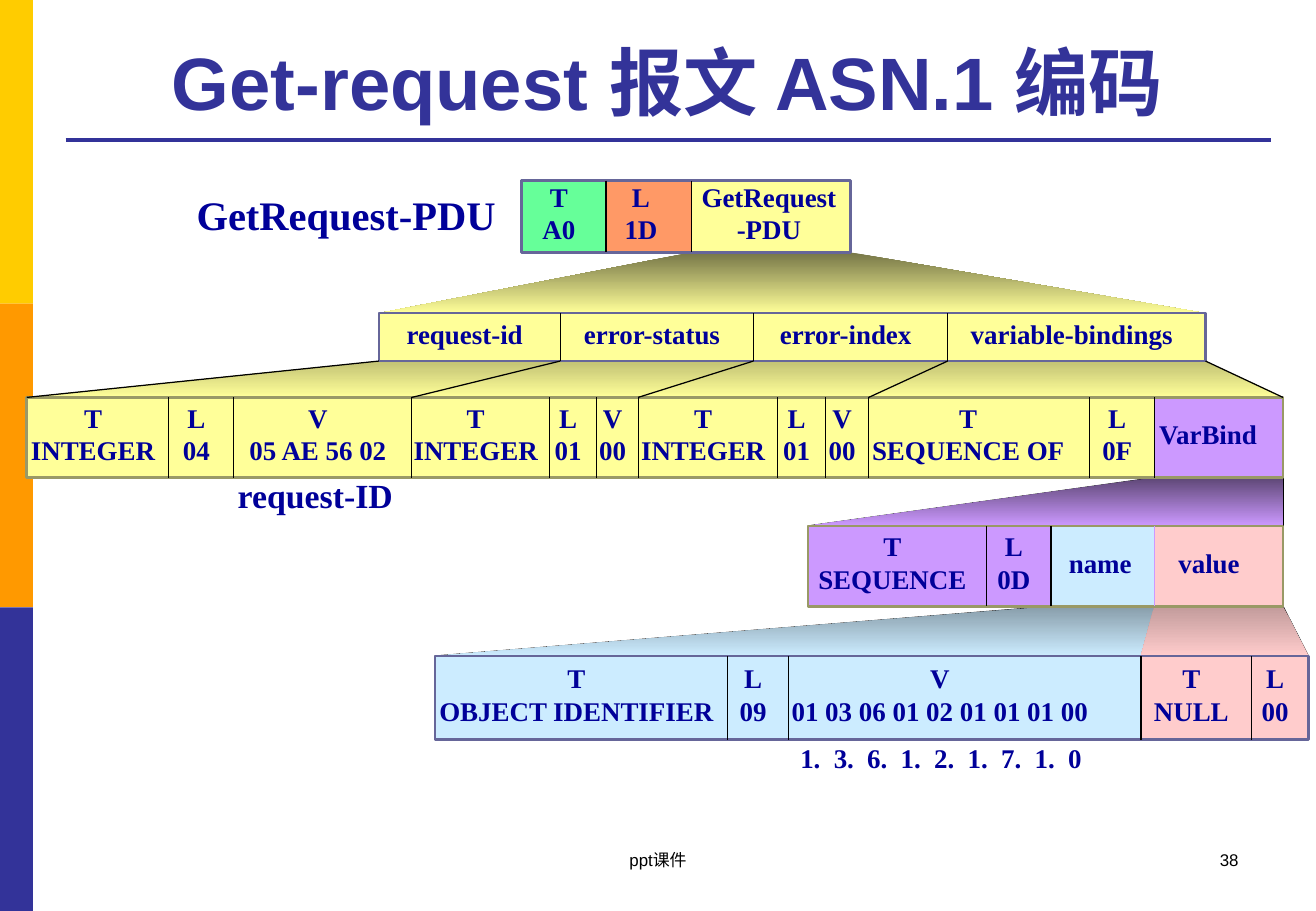
from dataclasses import dataclass

from lxml import etree
from pptx import Presentation
from pptx import util as u
from pptx.dml.color import RGBColor
from pptx.enum import shapes, text
from pptx.oxml.ns import qn


class Theme:
    """Colours, fonts and type sizes of the slide."""
    NAVY, INK, BLACK = "333399", "000099", "000000"
    GOLD, ORANGE = "FFCC00", "FF9900"
    GREEN, CORAL, YELLOW = "66FF99", "FF9966", "FFFF99"
    LILAC, SKY, PINK = "CC99FF", "CCECFF", "FFCCCC"
    SLATE, OLIVE = "666699", "999966"
    SANS, SERIF = "Arial", "Times New Roman"
    TITLE, HEADING, NOTE, CELL, FOOTER = 44, 24, 20, 16, 10
    HAIRLINE, OUTLINE, RULE = 0.75, 1.5, 2.25


@dataclass
class Box:
    """A rectangle in centimetres."""
    left: float
    top: float
    width: float
    height: float

    @property
    def right(self):
        """Return the right edge."""
        return self.left + self.width

    @property
    def bottom(self):
        """Return the lower edge."""
        return self.top + self.height

    def lengths(self):
        """Return the four lengths for python-pptx."""
        return [u.Cm(v) for v in (self.left, self.top, self.width, self.height)]


@dataclass
class Cell:
    """One field of an encoded row."""
    width: float
    fill: str
    lines: str
    shift: float = 0.1
    divider: str = Theme.BLACK


@dataclass
class Row:
    """A row of adjoining cells inside an outline."""
    box: Box
    outline: str
    cells: list

    def span(self, first, last=None):
        """Return the box covering cells first to last."""
        last = first if last is None else last
        left = self.box.left + sum(c.width for c in self.cells[:first])
        width = sum(c.width for c in self.cells[first:last + 1])
        return Box(left, self.box.top, width, self.box.height)


def rgb(colour):
    """Return a colour object for a hex string."""
    return RGBColor.from_string(colour)


def write(paragraph, words, size, colour, font=Theme.SERIF, bold=True, align=None):
    """Add one formatted run to a paragraph."""
    paragraph.alignment = align
    run = paragraph.add_run()
    run.text = words
    run.font.name, run.font.size, run.font.bold = font, u.Pt(size), bold
    run.font.color.rgb = rgb(colour)


def draw_block(slide, box, fill=None, outline=None):
    """Draw a rectangle with an optional fill and outline."""
    block = slide.shapes.add_shape(shapes.MSO_SHAPE.RECTANGLE, *box.lengths())
    block.shadow.inherit = False
    if fill:
        block.fill.solid()
        block.fill.fore_color.rgb = rgb(fill)
    else:
        block.fill.background()
    if outline:
        block.line.color.rgb = rgb(outline)
        block.line.width = u.Pt(Theme.OUTLINE)
    else:
        block.line.fill.background()
    return block


def draw_line(slide, start, end, colour=Theme.BLACK, width=Theme.HAIRLINE):
    """Draw a straight line between two points."""
    ends = [u.Cm(v) for v in (*start, *end)]
    line = slide.shapes.add_connector(shapes.MSO_CONNECTOR.STRAIGHT, *ends)
    line.line.color.rgb = rgb(colour)
    line.line.width = u.Pt(width)
    etree.SubElement(line._element.spPr, qn("a:effectLst"))


def draw_label(slide, box, words, size, **style):
    """Place a line of text in its own box and return its paragraph."""
    frame = slide.shapes.add_textbox(*box.lengths()).text_frame
    frame.word_wrap = True
    write(frame.paragraphs[0], words, size, style.pop("colour", Theme.INK), **style)
    return frame.paragraphs[0]


def draw_row(slide, row):
    """Draw the cells of a row, its dividers and its outline."""
    for index, cell in enumerate(row.cells):
        frame = draw_block(slide, row.span(index), cell.fill).text_frame
        frame.word_wrap = False
        frame.vertical_anchor = text.MSO_ANCHOR.MIDDLE
        frame.margin_left = frame.margin_top = 0
        frame.margin_right, frame.margin_bottom = u.Cm(2 * cell.shift), u.Cm(0.16)
        for number, words in enumerate(cell.lines.split("\n")):
            paragraph = frame.add_paragraph() if number else frame.paragraphs[0]
            write(paragraph, words, Theme.CELL, Theme.INK, align=text.PP_ALIGN.CENTER)
    draw_block(slide, row.box, outline=row.outline)
    for index, cell in enumerate(row.cells[1:], 1):
        x = row.span(index).left
        draw_line(slide, (x, row.box.top), (x, row.box.bottom), cell.divider)


def draw_funnel(slide, source, target, shade, tint):
    """Fill the area between a cell and the row that expands it."""
    corners = [(source.left, source.bottom), (source.right, source.bottom),
               (target.right, target.top), (target.left, target.top)]
    points = [(u.Cm(x), u.Cm(y)) for x, y in corners]
    builder = slide.shapes.build_freeform(*points[0])
    builder.add_line_segments(points[1:], close=True)
    funnel = builder.convert_to_shape()
    funnel.shadow.inherit = False
    funnel.line.fill.background()
    funnel.fill.gradient()
    funnel.fill.gradient_angle = 270
    for stop, colour in zip(funnel.fill.gradient_stops, (shade, tint)):
        stop.color.rgb = rgb(colour)


def draw_rays(slide, source, target, sides=("left", "right")):
    """Join the lower corners of a cell to the upper corners of its expansion."""
    for side in sides:
        draw_line(slide, (getattr(source, side), source.bottom),
                  (getattr(target, side), target.top))


def draw_frame(slide, page):
    """Draw the side bars, title, rule and footer."""
    third = page.height / 3
    for index, colour in enumerate((Theme.GOLD, Theme.ORANGE, Theme.NAVY)):
        draw_block(slide, Box(page.left, page.top + index * third, 0.69, third), colour)
    draw_line(slide, (1.37, 2.92), (26.57, 2.92), Theme.NAVY, Theme.RULE)
    title = slide.shapes.title
    title.left, title.top, title.width, title.height = Box(1.37, 0.53, 25.17, 2.21).lengths()
    title.text_frame.vertical_anchor = text.MSO_ANCHOR.BOTTOM
    write(title.text_frame.paragraphs[0], "Get-request 报文 ASN.1 编码", Theme.TITLE,
          Theme.NAVY, Theme.SANS, align=text.PP_ALIGN.CENTER)
    footer = {"colour": Theme.BLACK, "font": Theme.SANS, "bold": False}
    top = page.bottom - 1.4
    draw_label(slide, Box(9.4, top, 8.71, 1.27), "ppt课件", Theme.FOOTER,
               align=text.PP_ALIGN.CENTER, **footer)
    draw_label(slide, Box(19.71, top, 6.43, 1.27), "38", Theme.FOOTER,
               align=text.PP_ALIGN.RIGHT, **footer)


def draw_encoding(slide):
    """Draw the nested rows of the encoded message."""
    t = Theme
    pdu = Row(Box(10.9, 3.78, 6.88, 1.5), t.SLATE, [
        Cell(1.77, t.GREEN, "T\nA0"), Cell(1.78, t.CORAL, "L\n1D", 0.16),
        Cell(3.33, t.YELLOW, "GetRequest\n-PDU", 0.04)])
    names = ("request-id", "error-status", "error-index", "variable-bindings")
    fields = Row(Box(7.92, 6.55, 17.28, 1), t.SLATE, [
        Cell(width, t.YELLOW, name)
        for width, name in zip((3.79, 4.04, 4.06, 5.39), names)])
    yellow_cells = [
        (2.97, "T\nINTEGER"), (1.35, "L\n04"), (3.73, "V\n05 AE 56 02"),
        (2.87, "T\nINTEGER"), (0.99, "L\n01"), (0.87, "V\n00"),
        (2.92, "T\nINTEGER"), (0.99, "L\n01"), (0.91, "V\n00"),
        (4.62, "T\nSEQUENCE OF", 0.23), (1.35, "L\n0F")]
    values = Row(Box(0.56, 8.31, 26.26, 1.68), t.OLIVE, [
        *(Cell(width, t.YELLOW, *label) for width, *label in yellow_cells),
        Cell(2.69, t.LILAC, "VarBind", 0.22)])
    varbind = Row(Box(16.89, 11, 9.93, 1.68), t.OLIVE, [
        Cell(3.73, t.LILAC, "T\nSEQUENCE"), Cell(1.35, t.LILAC, "L\n0D"),
        Cell(2.16, t.SKY, "name", 0.05), Cell(2.69, t.PINK, "value", 0.2, t.LILAC)])
    leaves = Row(Box(9.09, 13.72, 18.26, 1.75), t.SLATE, [
        Cell(6.12, t.SKY, "T\nOBJECT IDENTIFIER"), Cell(1.27, t.SKY, "L\n09"),
        Cell(7.37, t.SKY, "V\n01 03 06 01 02 01 01 01 00", 0.52),
        Cell(2.31, t.PINK, "T\nNULL"), Cell(1.19, t.PINK, "L\n00")])

    lower = [(values.span(11), varbind.box, "5E4776", t.LILAC),
             (varbind.span(2), leaves.span(0, 2), "889DAA", t.SKY),
             (varbind.span(3), leaves.span(3, 4), "C29B9B", t.PINK)]
    upper = [(pdu.span(2), fields.box, "767647", t.YELLOW),
             (fields.box, values.box, "C2C274", t.YELLOW)]
    for source, target, *_ in lower:
        draw_rays(slide, source, target)
    for funnel in upper + lower:
        draw_funnel(slide, *funnel)
    for row in (pdu, fields, values, varbind, leaves):
        draw_row(slide, row)
    for index in range(len(names)):
        draw_rays(slide, fields.span(index), values.span(3 * index), ["left"])
    draw_rays(slide, fields.box, values.box, ["right"])

    draw_label(slide, Box(3.86, 3.84, 6.83, 1.3), "GetRequest-PDU", t.HEADING)
    draw_label(slide, Box(4.72, 9.8, 3.78, 1.12), "request-ID", t.NOTE)
    identifier = draw_label(slide, Box(16.48, 15.39, 6.5, 0.94),
                            "\t".join("1. 3. 6. 1. 2. 1. 7. 1. 0".split()), t.CELL)
    tabs = etree.SubElement(identifier._p.get_or_add_pPr(), qn("a:tabLst"))
    for stop in range(1, 9):
        etree.SubElement(tabs, qn("a:tab"), pos=str(u.Cm(0.7 * stop)), algn="l")


def main():
    """Build the slide and save it."""
    deck = Presentation()
    page = Box(0, 0, 27.51, 19.05)
    deck.slide_width, deck.slide_height = page.lengths()[2:]
    slide = deck.slides.add_slide(deck.slide_layouts[5])
    draw_frame(slide, page)
    draw_encoding(slide)
    deck.save("out.pptx")


if __name__ == "__main__":
    main()
